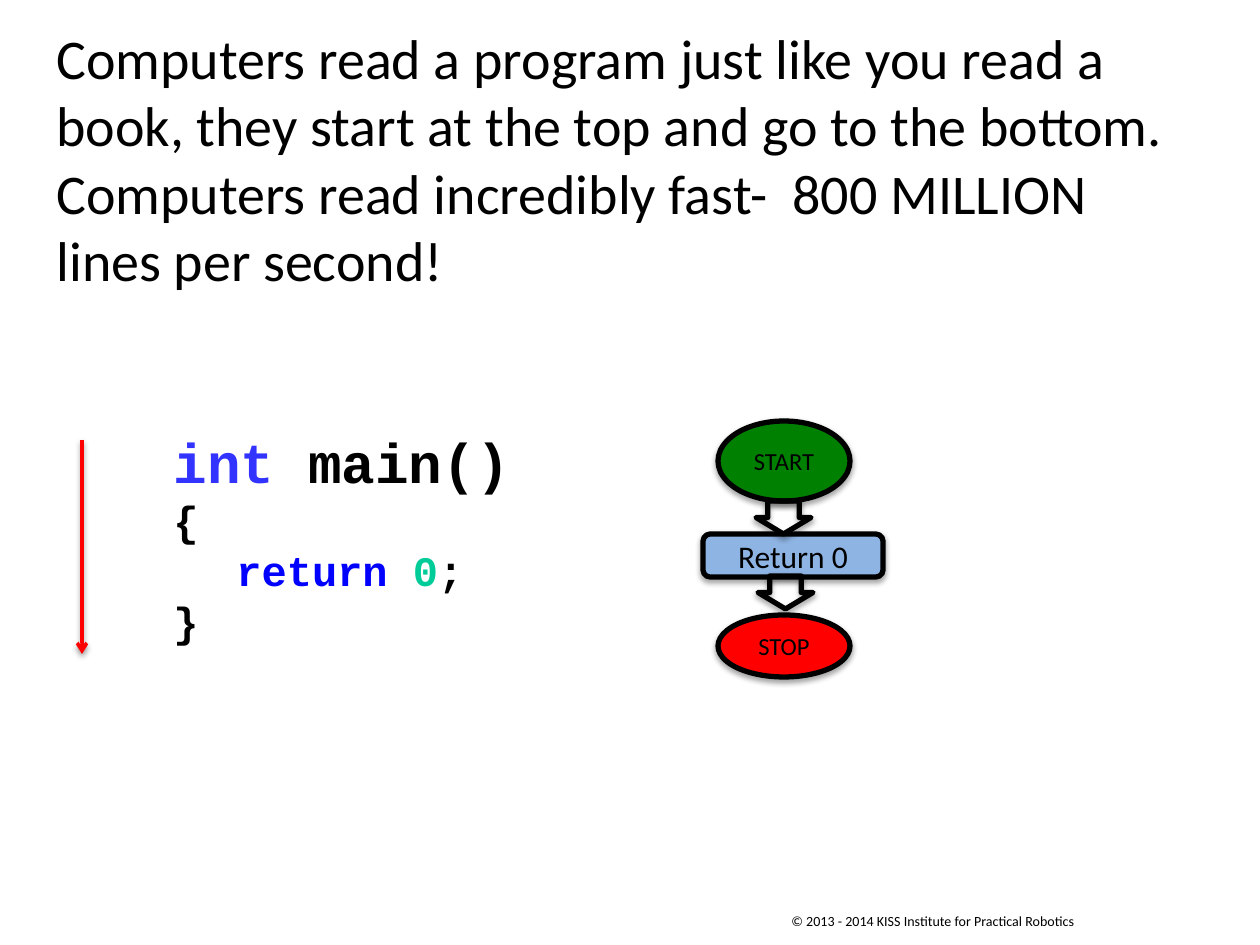
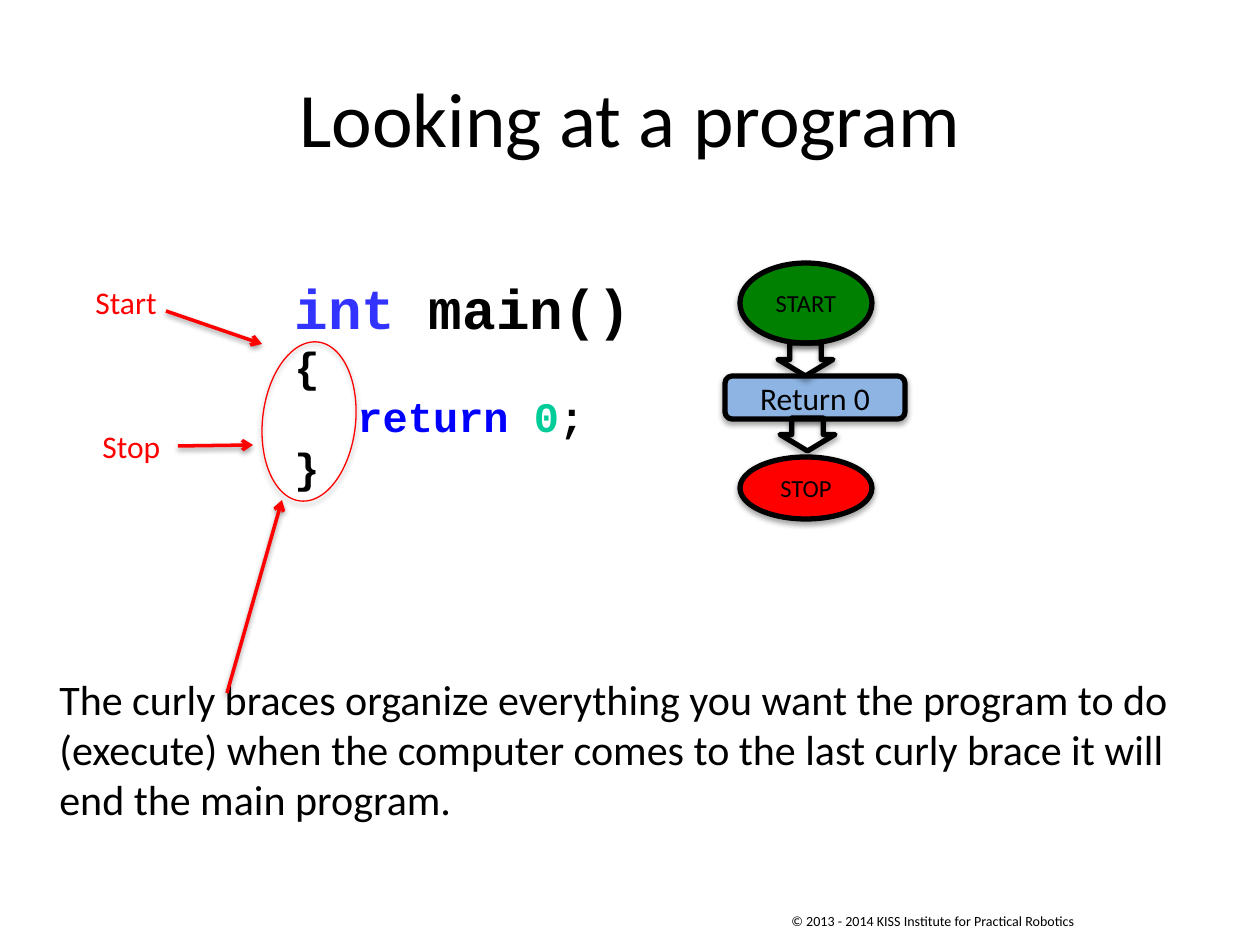
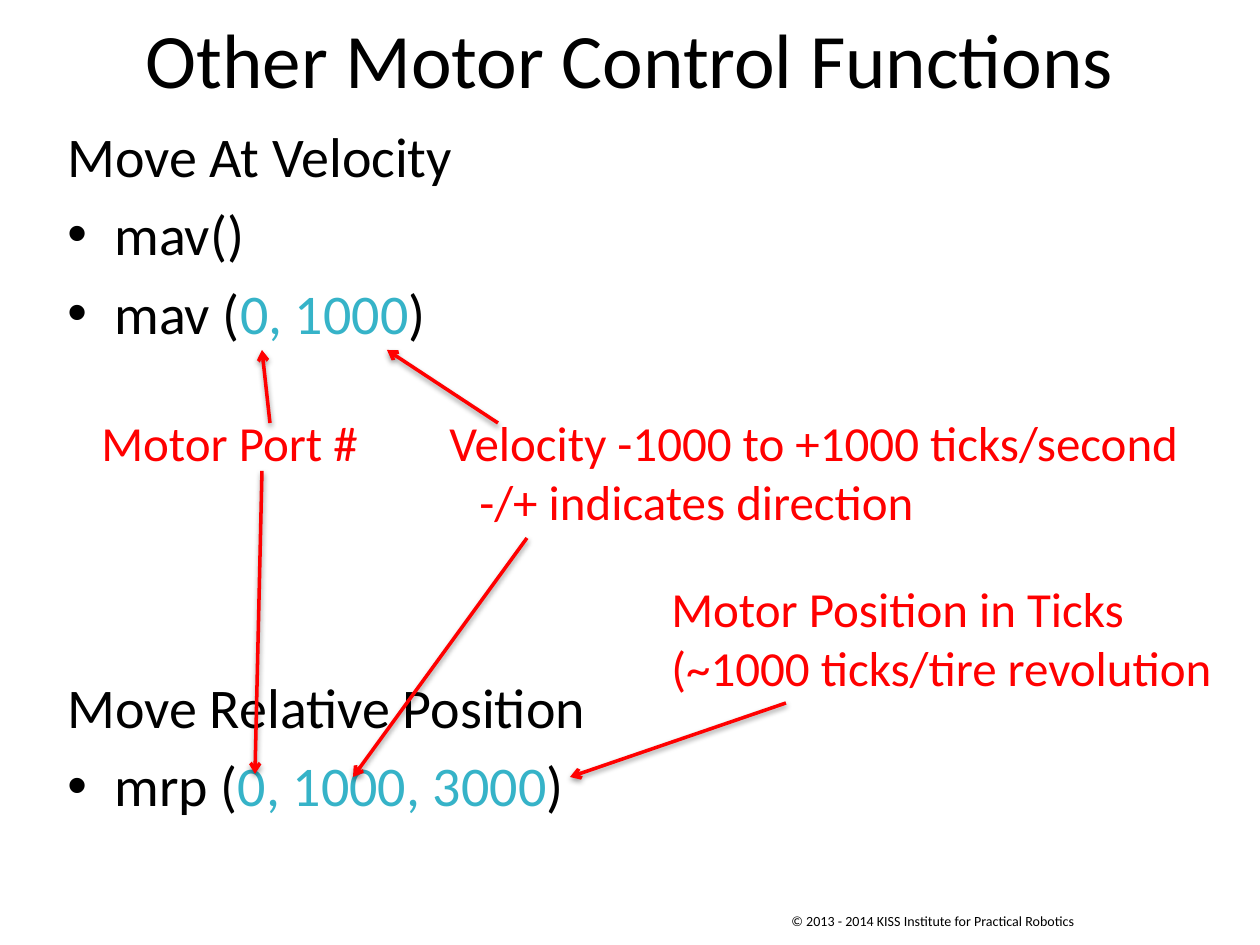
"""Builds three slides on reading a program and on motor control functions."""
from dataclasses import dataclass

from lxml import etree
from pptx import Presentation
from pptx.dml.color import RGBColor
from pptx.enum.shapes import MSO_CONNECTOR, MSO_SHAPE
from pptx.enum.text import MSO_ANCHOR, PP_ALIGN
from pptx.oxml.ns import qn
from pptx.util import Emu, Pt

PX_PER_INCH = 126
BLANK_LAYOUT = 6
LEFT, CENTER = PP_ALIGN.LEFT, PP_ALIGN.CENTER
TOP, MIDDLE = MSO_ANCHOR.TOP, MSO_ANCHOR.MIDDLE
OVAL, ROUNDED = MSO_SHAPE.OVAL, MSO_SHAPE.ROUNDED_RECTANGLE
DOWN_ARROW = MSO_SHAPE.DOWN_ARROW
STRAIGHT = MSO_CONNECTOR.STRAIGHT

BLACK = RGBColor(0x00, 0x00, 0x00)
RED = RGBColor(0xFF, 0x00, 0x00)
GREEN = RGBColor(0x00, 0x80, 0x00)
STEP_BLUE = RGBColor(0x8E, 0xB4, 0xE3)
TYPE_BLUE = RGBColor(0x33, 0x33, 0xFF)
KEYWORD_BLUE = RGBColor(0x00, 0x00, 0xFF)
NUMBER_GREEN = RGBColor(0x00, 0xCC, 0x99)
ARGUMENT_TEAL = RGBColor(0x36, 0xB3, 0xC8)

BODY_FONT, CODE_FONT = "Calibri", "Courier New"
FOOTER = "© 2013 - 2014 KISS Institute for Practical Robotics"


def px(length):
    """Turn whole px into EMU."""
    return Emu(round(length * 914400 / PX_PER_INCH))


@dataclass
class Line:
    """One paragraph: coloured spans and their layout."""
    spans: list
    size: int
    before: float = 0
    indent: int = 0
    bullet: bool = False
    tab: int = 0


CODE = [
    Line([("int ", TYPE_BLUE), ("main()", BLACK)], 32),
    Line([("{", BLACK)], 24),
    Line([("\treturn ", KEYWORD_BLUE), ("0", NUMBER_GREEN), (";", BLACK)], 24, tab=63),
    Line([("}", BLACK)], 24),
]


class Slides:
    """Holds the deck, its style and the current page."""

    def __init__(self):
        self.deck = Presentation()
        self.deck.slide_width, self.deck.slide_height = px(1260), px(945)
        self.page = None

    def new_page(self):
        """Start a blank page with the shared footer."""
        layout = self.deck.slide_layouts[BLANK_LAYOUT]
        self.page = self.deck.slides.add_slide(layout)
        self.text(779, 906, 314, 30, FOOTER, 8, wrap=False)

    def fill_frame(self, frame, lines, font, bold, align):
        """Fill a text frame with lines."""
        for index, line in enumerate(lines):
            para = frame.add_paragraph() if index else frame.paragraphs[0]
            para.alignment = align
            if line.before:
                para.space_before = Pt(line.before)
            props = para._p.get_or_add_pPr()
            if line.indent:
                props.set("marL", str(px(line.indent)))
            if line.bullet:
                props.set("indent", str(-px(line.indent)))
                etree.SubElement(props, qn("a:buFont"), typeface="Arial")
                etree.SubElement(props, qn("a:buChar"), char="•")
            if line.tab:
                stops = etree.SubElement(props, qn("a:tabLst"))
                etree.SubElement(stops, qn("a:tab"), pos=str(px(line.tab)), algn="l")
            for words, color in line.spans:
                span = para.add_run()
                span.text = words
                span.font.name, span.font.size = font, Pt(line.size)
                span.font.bold = bold
                span.font.color.rgb = color

    def lines(self, left, top, width, height, lines, font=BODY_FONT, bold=False,
              align=LEFT, anchor=TOP, wrap=True):
        """Add a text box of several lines."""
        box = self.page.shapes.add_textbox(px(left), px(top), px(width), px(height))
        box.text_frame.word_wrap = wrap
        box.text_frame.vertical_anchor = anchor
        self.fill_frame(box.text_frame, lines, font, bold, align)

    def text(self, left, top, width, height, words, size, color=BLACK, **layout):
        """Add a text box of one plain paragraph."""
        self.lines(left, top, width, height, [Line([(words, color)], size)], **layout)

    def title(self, top, words):
        """Add a centred page title."""
        self.text(63, top, 1134, 158, words, 44, align=CENTER, anchor=MIDDLE)

    def code(self, left, top):
        """Add the sample program."""
        self.lines(left, top, 939, 233, CODE, font=CODE_FONT, bold=True)

    def cast_shadow(self, effects, distance, opacity):
        """Add a soft shadow below an element."""
        shadow = etree.SubElement(effects, qn("a:outerShdw"), blurRad="40000",
                                  dist=str(distance), dir="5400000", rotWithShape="0")
        color = etree.SubElement(shadow, qn("a:srgbClr"), val=str(BLACK))
        etree.SubElement(color, qn("a:alpha"), val=str(opacity * 1000))

    def shape(self, kind, left, top, width, height, fill=None, line=BLACK, weight=3,
              words="", size=14):
        """Add an outlined preset shape with a shadow."""
        shape = self.page.shapes.add_shape(kind, px(left), px(top), px(width), px(height))
        if fill is None:
            shape.fill.background()
        else:
            shape.fill.solid()
            shape.fill.fore_color.rgb = fill
        shape.line.color.rgb, shape.line.width = line, Pt(weight)
        shape.shadow.inherit = False
        self.cast_shadow(shape._element.spPr.find(qn("a:effectLst")), 23000, 35)
        if words:
            shape.text_frame.vertical_anchor = MIDDLE
            label = [Line([(words, BLACK)], size)]
            self.fill_frame(shape.text_frame, label, BODY_FONT, False, CENTER)
        return shape

    def arrow(self, *ends):
        """Add a red arrow from one point to another."""
        arrow = self.page.shapes.add_connector(STRAIGHT, *map(px, ends))
        arrow.line.color.rgb, arrow.line.width = RED, Pt(2)
        etree.SubElement(arrow.line._get_or_add_ln(), qn("a:tailEnd"), type="arrow")
        effects = etree.SubElement(arrow._element.spPr, qn("a:effectLst"))
        self.cast_shadow(effects, 20000, 38)

    def flowchart(self, left, top):
        """Add the start, return and stop chart."""
        self.shape(OVAL, left, top + 194, 132, 62, RED, words="STOP")
        self.shape(OVAL, left, top, 132, 80, GREEN, words="START")
        self.shape(ROUNDED, left - 15, top + 113, 180, 43, STEP_BLUE,
                   words="Return 0", size=18)
        for across, down in ((38, 80), (40, 155)):
            step = self.shape(DOWN_ARROW, left + across, top + down, 55, 33)
            step.adjustments[0] = 0.57


def reading_page(slides):
    """Show that a program is read from top to bottom."""
    slides.new_page()
    slides.text(44, 48, 1134, 220,
                "Computers read a program just like you read a book, they start at the top "
                "and go to the bottom. Computers read incredibly fast-  800 MILLION lines "
                "per second!", 32, anchor=MIDDLE)
    slides.code(161, 421)
    slides.arrow(82, 440, 82, 654)
    slides.flowchart(718, 421)


def braces_page(slides):
    """Explain the curly braces of the program."""
    slides.new_page()
    slides.title(38, "Looking at a program")
    slides.text(47, 667, 1134, 165,
                "The curly braces organize everything you want the program to do (execute) "
                "when the computer comes to the last curly brace it will end the main "
                "program.", 24)
    slides.code(282, 267)
    braces = slides.shape(OVAL, 229, 375, 160, 93, line=RED, weight=0.75)
    braces.rotation = 96.3
    for ends in ((227, 693, 282, 500), (178, 446, 253, 445), (166, 311, 262, 344)):
        slides.arrow(*ends)
    slides.text(83, 277, 103, 50, "Start", 18, RED)
    slides.text(90, 421, 103, 50, "Stop", 18, RED)
    slides.flowchart(740, 263)


def motor_page(slides):
    """Explain the arguments of the motor functions."""
    slides.new_page()
    slides.title(-21, "Other Motor Control Functions")
    item = {"size": 32, "before": 6.4, "indent": 47, "bullet": True}
    slides.lines(55, 115, 1134, 747, [
        Line([("Move At Velocity", BLACK)], 32),
        Line([("mav()", BLACK)], **item),
        Line([("mav (", BLACK), ("0, 1000", ARGUMENT_TEAL), (")", BLACK)], **item),
        Line([("Move Relative Position", BLACK)], 32, before=187),
        Line([("mrp (", BLACK), ("0, 1000, 3000", ARGUMENT_TEAL), (")", BLACK)], **item),
    ])
    slides.lines(89, 406, 1108, 131, [
        Line([("Motor Port #\tVelocity -1000 to +1000 ticks/second", RED)], 28, tab=348),
        Line([("-/+ indicates direction", RED)], 28, indent=378),
    ])
    for ends in ((270, 423, 262, 350), (498, 423, 387, 350), (262, 471, 255, 774),
                 (527, 538, 353, 777), (786, 703, 570, 777)):
        slides.arrow(*ends)
    slides.text(659, 572, 578, 131,
                "Motor Position in Ticks (~1000 ticks/tire revolution", 28, RED)


def main():
    """Build and save the deck."""
    slides = Slides()
    reading_page(slides)
    braces_page(slides)
    motor_page(slides)
    slides.deck.save("out.pptx")


if __name__ == "__main__":
    main()
